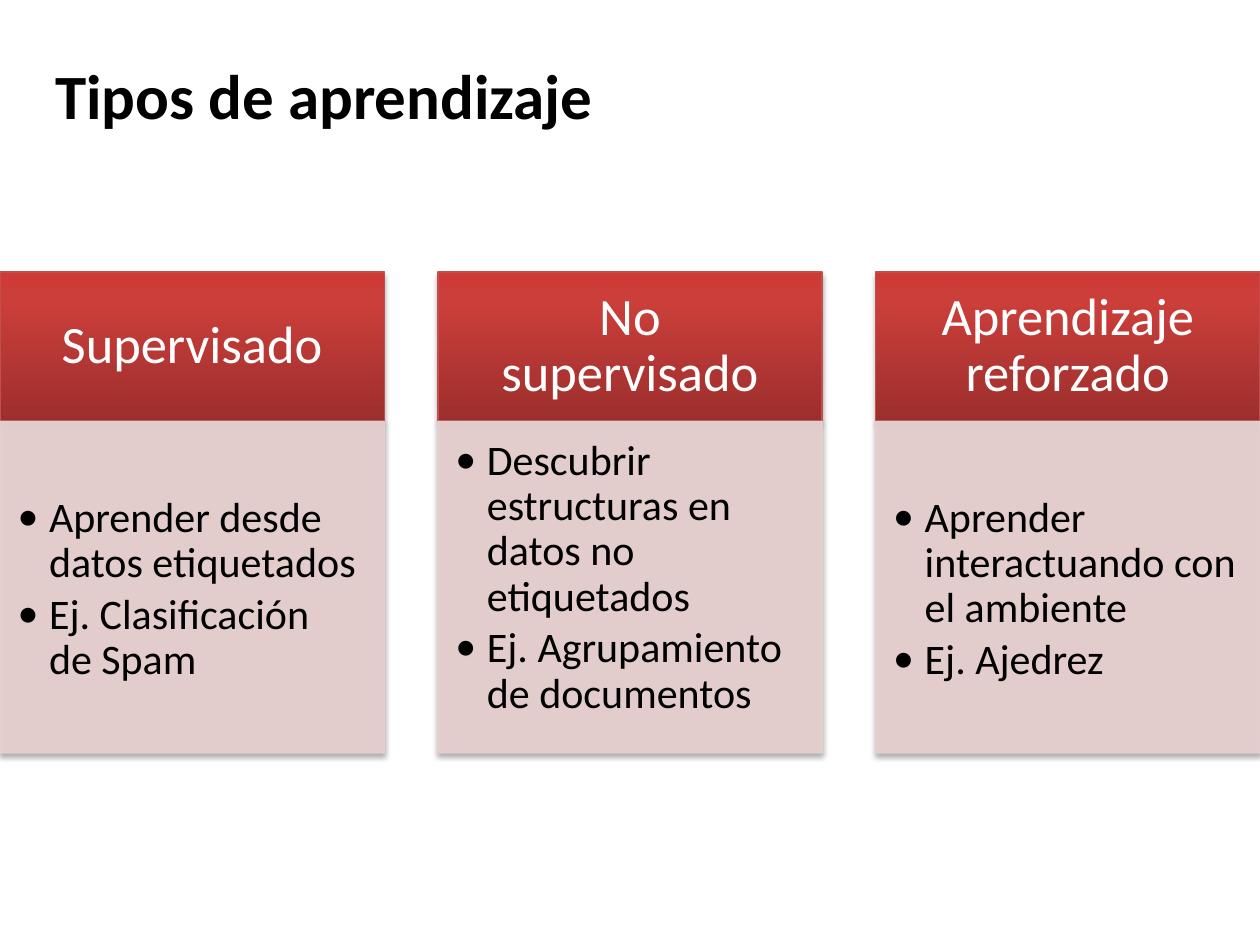
"""Build a slide that compares three types of machine learning."""
from copy import deepcopy

from lxml import etree
from pptx import Presentation
from pptx.dml.color import RGBColor
from pptx.enum.shapes import MSO_SHAPE
from pptx.enum.text import MSO_ANCHOR, MSO_AUTO_SIZE, PP_ALIGN
from pptx.oxml.ns import qn
from pptx.util import Pt

RECTANGLE = MSO_SHAPE.RECTANGLE
TOP, MIDDLE = MSO_ANCHOR.TOP, MSO_ANCHOR.MIDDLE
LEFT, CENTER = PP_ALIGN.LEFT, PP_ALIGN.CENTER
FIT_SHAPE = MSO_AUTO_SIZE.SHAPE_TO_FIT_TEXT

COLORS = {"dark": "9C2F2D", "mid": "CB3E3A", "bright": "CE3B37", "border": "C0504D",
          "panel": "E8D0D0", "white": "FFFFFF", "black": "000000"}
HEADER_STOPS = [(0, "dark"), (0.8, "mid"), (1, "bright")]
COLUMNS = [
    ("Supervisado", 42.6,
     ["Aprender desde datos etiquetados", "Ej. Clasificación de Spam"]),
    ("No supervisado", 10,
     ["Descubrir estructuras en datos no etiquetados", "Ej. Agrupamiento de documentos"]),
    ("Aprendizaje reforzado", 42.6,
     ["Aprender interactuando con el ambiente", "Ej. Ajedrez"]),
]
SLIDE_WIDTH, COLUMN_WIDTH = 720, 219.6
COLUMN_STEP = (SLIDE_WIDTH - COLUMN_WIDTH) / (len(COLUMNS) - 1)
HEADER_TOP, HEADER_HEIGHT, PANEL_HEIGHT = 155.5, 85.2, 189.6


def add_box(left, top, height, border):
    shape = slide.shapes.add_shape(RECTANGLE, Pt(left), Pt(top), Pt(COLUMN_WIDTH), Pt(height))
    shape.line.color.rgb = RGBColor.from_string(COLORS[border])
    shape.line.width = Pt(0.75)
    shape.shadow.inherit = False
    effects = shape.element.spPr.find(qn("a:effectLst"))
    shadow = etree.SubElement(effects, qn("a:outerShdw"), blurRad=str(Pt(3.1)),
                              dist=str(Pt(1.8)), dir="5400000", rotWithShape="0")
    color = etree.SubElement(shadow, qn("a:srgbClr"), val=COLORS["black"])
    etree.SubElement(color, qn("a:alpha"), val="35000")
    return shape


def write_text(shape, lines, size, color, bold, frame_format, paragraph_format):
    frame = shape.text_frame
    for name, value in frame_format.items():
        setattr(frame, name, value)
    frame.text = "\n".join(lines)
    for paragraph in frame.paragraphs:
        for name, value in paragraph_format.items():
            setattr(paragraph, name, value)
        font_format = {"name": "Calibri", "size": Pt(size), "bold": bold}
        for name, value in font_format.items():
            setattr(paragraph.runs[0].font, name, value)
        paragraph.runs[0].font.color.rgb = RGBColor.from_string(COLORS[color])


presentation = Presentation()
presentation.slide_width, presentation.slide_height = Pt(SLIDE_WIDTH), Pt(540)
slide = presentation.slides.add_slide(presentation.slide_layouts[6])

for index, (heading, top_margin, points) in enumerate(COLUMNS):
    left = index * COLUMN_STEP

    header = add_box(left, HEADER_TOP, HEADER_HEIGHT, "border")
    header.fill.gradient()
    header.fill.gradient_angle = 90
    stop_list = header.element.spPr.find(qn("a:gradFill")).find(qn("a:gsLst"))
    stop_list.append(deepcopy(stop_list[0]))
    for stop, (position, color) in zip(header.fill.gradient_stops, HEADER_STOPS):
        stop.position = position
        stop.color.rgb = RGBColor.from_string(COLORS[color])
    write_text(header, [heading], 30, "white", False,
               {"word_wrap": True, "vertical_anchor": MIDDLE, "margin_left": Pt(16.8),
                "margin_right": Pt(16.8), "margin_top": Pt(9.6), "margin_bottom": Pt(9.6)},
               {"alignment": CENTER, "line_spacing": 0.9})

    panel = add_box(left, HEADER_TOP + HEADER_HEIGHT, PANEL_HEIGHT, "panel")
    panel.fill.solid()
    panel.fill.fore_color.rgb = RGBColor.from_string(COLORS["panel"])
    properties = panel.element.spPr
    for parent in (properties, properties.find(qn("a:ln"))):
        color = parent.find(qn("a:solidFill")).find(qn("a:srgbClr"))
        etree.SubElement(color, qn("a:alpha"), val="90000")
    write_text(panel, points, 24, "black", False,
               {"word_wrap": True, "vertical_anchor": TOP, "margin_left": Pt(10),
                "margin_right": Pt(13.6), "margin_top": Pt(top_margin), "margin_bottom": Pt(15)},
               {"alignment": LEFT, "line_spacing": 0.9, "space_after": Pt(3.6)})
    for paragraph in panel.text_frame.paragraphs:
        bullet_format = paragraph._p.get_or_add_pPr()
        bullet_format.set("marL", str(Pt(18)))
        bullet_format.set("indent", str(Pt(-18)))
        etree.SubElement(bullet_format, qn("a:buFont"), typeface="Calibri")
        etree.SubElement(bullet_format, qn("a:buChar"), char="•")

title = slide.shapes.add_textbox(Pt(24.5), Pt(28.8), Pt(325.4), Pt(51.1))
write_text(title, ["Tipos de aprendizaje"], 36, "black", True,
           {"word_wrap": False, "auto_size": FIT_SHAPE}, {"alignment": LEFT})

presentation.save("out.pptx")
